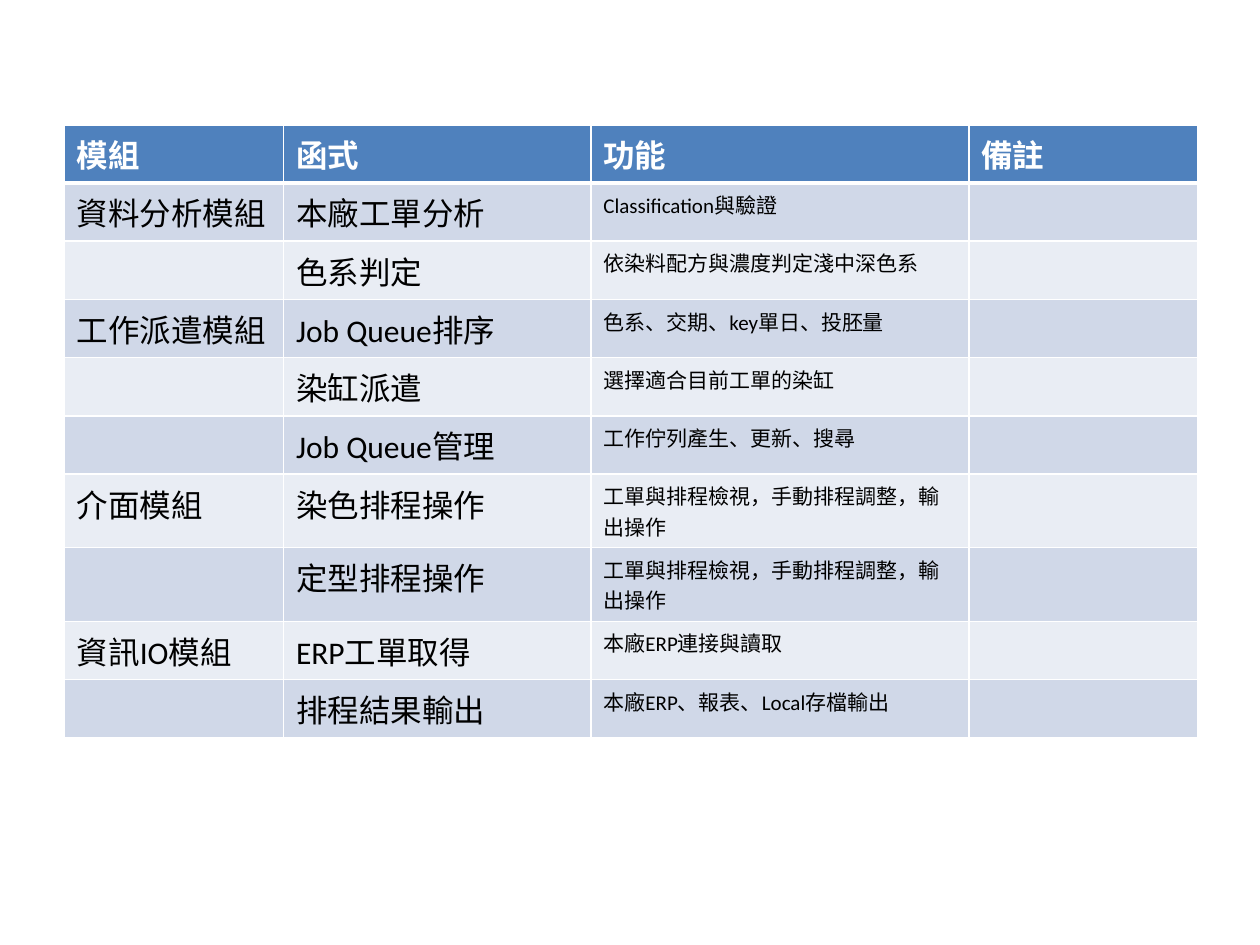
from lxml.etree import SubElement
from pptx import Presentation
from pptx.dml.color import RGBColor
from pptx.oxml.ns import qn
from pptx.util import Inches, Pt

COLORS = {
    "header": "4F81BD",
    "odd_row": "D0D8E8",
    "even_row": "E9EDF4",
    "border": "FFFFFF",
    "header_text": "FFFFFF",
    "body_text": "000000",
}
FONT = "Calibri"
COLUMN_WIDTHS = [1.74, 2.44, 3.0, 1.82]
ROW_HEIGHT = 0.41
FUNCTION_COLUMN = 2

HEADINGS = ["模組", "函式", "功能", "備註"]
MODULES = [
    ("資料分析模組", "本廠工單分析", "Classification與驗證", ""),
    ("", "色系判定", "依染料配方與濃度判定淺中深色系", ""),
    ("工作派遣模組", "Job Queue排序", "色系、交期、key單日、投胚量", ""),
    ("", "染缸派遣", "選擇適合目前工單的染缸", ""),
    ("", "Job Queue管理", "工作佇列產生、更新、搜尋", ""),
    ("介面模組", "染色排程操作", "工單與排程檢視，手動排程調整，輸出操作", ""),
    ("", "定型排程操作", "工單與排程檢視，手動排程調整，輸出操作", ""),
    ("資訊IO模組", "ERP工單取得", "本廠ERP連接與讀取", ""),
    ("", "排程結果輸出", "本廠ERP、報表、Local存檔輸出", ""),
]


def write_text(cell, text, *, size=18, color="body_text", bold=False):
    if not text:
        return
    run = cell.text_frame.paragraphs[0].add_run()
    run.text = text
    run.font.name = FONT
    run.font.size = Pt(size)
    run.font.bold = bold
    run.font.color.rgb = RGBColor.from_string(COLORS[color])


def set_borders(cell, top=1, bottom=1):
    properties = cell._tc.get_or_add_tcPr()
    for tag, width in (("a:lnL", 1), ("a:lnR", 1), ("a:lnT", top), ("a:lnB", bottom)):
        border = SubElement(properties, qn(tag), w=str(Pt(width)))
        border_fill = SubElement(border, qn("a:solidFill"))
        SubElement(border_fill, qn("a:srgbClr"), val=COLORS["border"])


def set_fill(cell, color):
    cell.fill.solid()
    cell.fill.fore_color.rgb = RGBColor.from_string(COLORS[color])


def add_module_table(slide):
    rows = [HEADINGS, *MODULES]
    module_table = slide.shapes.add_table(
        len(rows), len(HEADINGS), Inches(0.51), Inches(0.99),
        Inches(sum(COLUMN_WIDTHS)), Inches(ROW_HEIGHT * len(rows)),
    ).table
    for column, width in zip(module_table.columns, COLUMN_WIDTHS):
        column.width = Inches(width)

    for row_index, labels in enumerate(rows):
        module_table.rows[row_index].height = Inches(ROW_HEIGHT)
        is_header = row_index == 0
        for column_index, label in enumerate(labels):
            cell = module_table.cell(row_index, column_index)
            # A thick line separates the header from the body
            set_borders(cell, top=3 if row_index == 1 else 1, bottom=3 if is_header else 1)
            if is_header:
                set_fill(cell, "header")
                write_text(cell, label, color="header_text", bold=True)
            else:
                set_fill(cell, "odd_row" if row_index % 2 else "even_row")
                write_text(cell, label, size=12 if column_index == FUNCTION_COLUMN else 18)


def main():
    presentation = Presentation()
    presentation.slide_width = Inches(10)
    presentation.slide_height = Inches(7.5)
    slide = presentation.slides.add_slide(presentation.slide_layouts[6])
    add_module_table(slide)
    presentation.save("out.pptx")


main()
